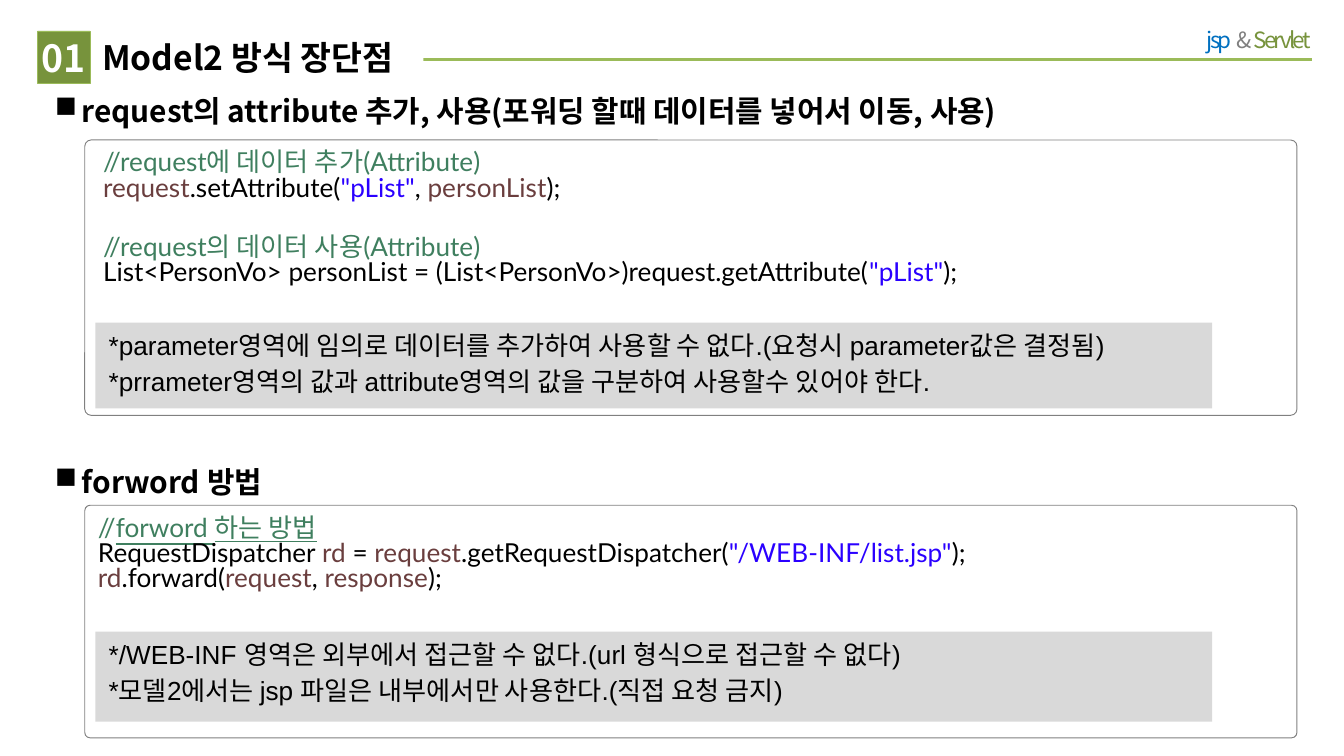
from lxml.etree import SubElement
from pptx import Presentation
from pptx.dml.color import RGBColor
from pptx.enum.shapes import MSO_CONNECTOR, MSO_SHAPE
from pptx.enum.text import MSO_ANCHOR, PP_ALIGN
from pptx.oxml.ns import qn
from pptx.util import Pt

BLACK = RGBColor(0, 0, 0)
WHITE = RGBColor(0xFF, 0xFF, 0xFF)
GRAY = RGBColor(0x80, 0x80, 0x80)
NOTE_FILL = RGBColor(0xD9, 0xD9, 0xD9)
GREEN = RGBColor(0x77, 0x93, 0x3C)
LIME = RGBColor(0x9B, 0xBB, 0x59)
BLUE = RGBColor(0x00, 0x70, 0xC0)
COMMENT = RGBColor(0x3F, 0x7F, 0x5F)
VARIABLE = RGBColor(0x6A, 0x3E, 0x3E)
STRING = RGBColor(0x2A, 0x00, 0xFF)
KOREAN = "Noto Sans CJK KR"

# Content: a paragraph is a list of runs (text, colour[, underline])
BRAND = [[("jsp  ", BLUE), ("& ", GRAY), ("Servlet", GREEN)]]
TITLE = [[("Model2 방식 장단점", BLACK)]]
NUMBER = [[("01", WHITE)]]

ADD_CODE = [
    [("//request에 데이터 추가(Attribute)", COMMENT)],
    [("request", VARIABLE), (".setAttribute(", BLACK), ('"pList"', STRING),
     (", ", BLACK), ("personList", VARIABLE), (");", BLACK)],
]
USE_CODE = [
    [("//request의 데이터 사용(Attribute)", COMMENT)],
    [("List<PersonVo> personList = (List<PersonVo>)request.getAttribute(", BLACK),
     ('"pList"', STRING), (");", BLACK)],
]
FORWARD_CODE = [
    [("//", COMMENT), ("forword 하는 방법", COMMENT, True)],
    [("RequestDispatcher ", BLACK), ("rd", VARIABLE), (" = ", BLACK),
     ("request", VARIABLE), (".getRequestDispatcher(", BLACK),
     ('"/WEB-INF/list.jsp"', STRING), (");", BLACK)],
    [("rd", VARIABLE), (".forward(", BLACK), ("request", VARIABLE),
     (", ", BLACK), ("response", VARIABLE), (");", BLACK)],
]
# Each code block: left, top, width, height, paragraphs
SECTIONS = [
    dict(heading="request의 attribute 추가, 사용(포워딩 할때 데이터를 넣어서 이동, 사용)",
         heading_top=46, panel=(75, 147.5),
         code=[(48.2, 77.8, 360, 34.6, ADD_CODE), (48.2, 123.1, 598, 34.6, USE_CODE)],
         note=(172.8, 46),
         notes=["*parameter영역에 임의로 데이터를 추가하여 사용할 수 없다.(요청시 parameter값은 결정됨)",
                "*prrameter영역의 값과 attribute영역의 값을 구분하여 사용할수 있어야 한다."]),
    dict(heading="forword 방법", heading_top=244.8, panel=(270.7, 124.6),
         code=[(45.4, 273.6, 646.6, 48.2, FORWARD_CODE)],
         note=(338.4, 48.2),
         notes=["*/WEB-INF 영역은 외부에서 접근할 수 없다.(url 형식으로 접근할 수 없다)",
                "*모델2에서는 jsp 파일은 내부에서만 사용한다.(직접 요청 금지)"]),
]

prs = Presentation()
prs.slide_width, prs.slide_height = Pt(720), Pt(405)
s = prs.slides.add_slide(prs.slide_layouts[6])


def add_box(box, shape=MSO_SHAPE.RECTANGLE, fill=None, line=None, width=0.5):
    sp = s.shapes.add_shape(shape, *map(Pt, box))
    sp.shadow.inherit = False
    if fill is None:
        sp.fill.background()
    else:
        sp.fill.solid()
        sp.fill.fore_color.rgb = fill
    if line is None:
        sp.line.fill.background()
    else:
        sp.line.color.rgb = line
        sp.line.width = Pt(width)
    return sp


def add_text(paragraphs, box=None, sp=None, font=KOREAN, size=14, bold=False,
             align=PP_ALIGN.LEFT, anchor=MSO_ANCHOR.TOP, insets=(7.2, 3.6, 7.2, 3.6),
             line_spacing=None, gap=0, bullet=None, tracking=None):
    sp = sp or s.shapes.add_textbox(*map(Pt, box))
    tf = sp.text_frame
    tf.word_wrap = True
    tf.vertical_anchor = anchor
    tf.margin_left, tf.margin_top, tf.margin_right, tf.margin_bottom = map(Pt, insets)
    for i, runs in enumerate(paragraphs):
        p = tf.add_paragraph() if i else tf.paragraphs[0]
        p.alignment = align
        p.line_spacing = line_spacing
        p.space_before = Pt(gap if i else 0)
        if bullet:
            pPr = p._p.get_or_add_pPr()
            pPr.set("marL", str(Pt(14.4)))
            pPr.set("indent", str(-Pt(14.4)))
            SubElement(pPr, qn("a:buChar")).set("char", bullet)
        for text, color, *underline in runs:
            r = p.add_run()
            r.text = text
            r.font.name, r.font.size, r.font.bold = font, Pt(size), bold
            r.font.color.rgb = color
            if underline:
                r.font.underline = True
            rPr = r._r.get_or_add_rPr()
            SubElement(rPr, qn("a:ea")).set("typeface", KOREAN)
            if tracking:
                rPr.set("spc", str(int(tracking * 100)))
    return sp


# Header: rule, brand, title and number
rule = s.shapes.add_connector(MSO_CONNECTOR.STRAIGHT, Pt(702.7), Pt(31.7), Pt(51), Pt(31.7))
rule.line.color.rgb = LIME
rule.line.width = Pt(1.5)
SubElement(rule._element.spPr, qn("a:effectLst"))
add_text(BRAND, (598.3, 8, 110.9, 26), size=12, align=PP_ALIGN.RIGHT,
         insets=(7.2, 5.8, 7.2, 5.8), tracking=-1.5)
add_text(TITLE, sp=add_box((49, 16.6, 177.8, 28), fill=WHITE), size=18, bold=True,
         anchor=MSO_ANCHOR.MIDDLE, insets=(5.8, 2.9, 0, 2.9))
add_text(NUMBER, sp=add_box((20.2, 16.6, 28, 28), fill=GREEN, line=LIME, width=0.25),
         size=20, bold=True, align=PP_ALIGN.CENTER, anchor=MSO_ANCHOR.MIDDLE,
         insets=(0, 0, 0, 0))

# Sections: heading, outlined panel, code and gray note
for section in SECTIONS:
    add_text([[(section["heading"], BLACK)]], (22.3, section["heading_top"], 629.3, 28.8),
             size=16, bold=True, bullet="■")
    top, height = section["panel"]
    panel = add_box((45.4, top, 649.4, height), MSO_SHAPE.ROUNDED_RECTANGLE, line=GRAY)
    panel.adjustments[0] = 0.023
    for *box, paragraphs in section["code"]:
        add_text(paragraphs, box, font="Lato", line_spacing=0.8)
    top, height = section["note"]
    add_text([[(line, BLACK)] for line in section["notes"]],
             sp=add_box((51.1, top, 598.3, height), fill=NOTE_FILL), font="Arial", gap=2.8)

prs.save("out.pptx")
